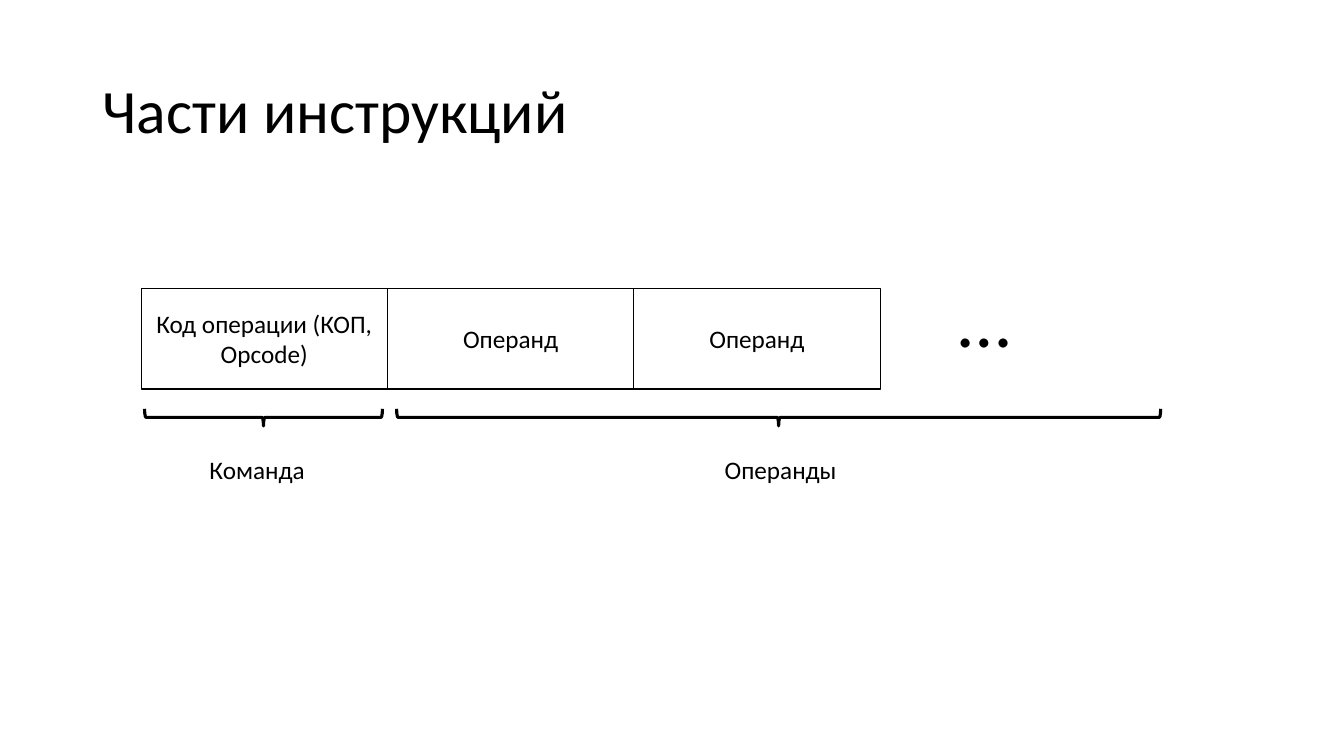
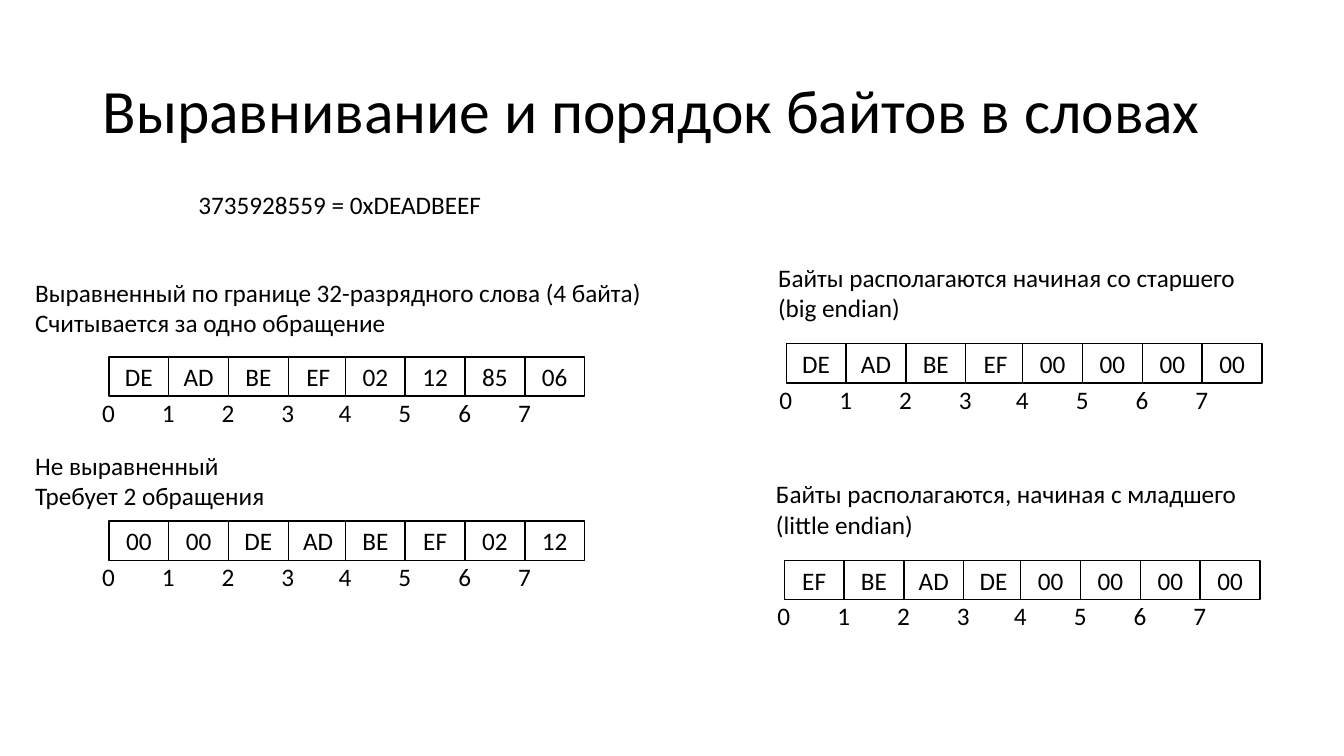
from pptx import Presentation
from pptx.dml.color import RGBColor as RGB
from pptx.enum.shapes import MSO_SHAPE as Shape
from pptx.enum.text import MSO_ANCHOR as Anchor, MSO_AUTO_SIZE as Auto, PP_ALIGN as Align
from pptx.util import Inches, Pt

WIDE, HIGH = Inches(13.333), Inches(7.5)
FONT, INK, PAPER = "Calibri", "000000", "FFFFFF"
LINE_H, PAIR_H = 5.33, 9.47      # height of one and two lines of text
BYTE_W, BYTE_H = 4.45, 5.2
WORD_W, WORD = 17.6, 4           # width of a word and its bytes
MARK_W, MARK_Y = 2.48, 4.67      # address marks under the bytes


def paint(code):
    return RGB.from_string(code)


def place(x, y, w, h):
    """Turn percentages of the slide into lengths."""
    return (round(WIDE * x / 100), round(HIGH * y / 100),
            round(WIDE * w / 100), round(HIGH * h / 100))


def write(frame, text, size=18, align=Align.LEFT):
    frame.text = text
    for para in frame.paragraphs:
        para.alignment = align
        for run in para.runs:
            run.font.name, run.font.size = FONT, Pt(size)
            run.font.color.rgb = paint(INK)


def label(shapes, text, x, y, w, h=LINE_H, size=18, wrap=False):
    frame = shapes.add_textbox(*place(x, y, w, h)).text_frame
    frame.word_wrap = wrap
    frame.auto_size = Auto.SHAPE_TO_FIT_TEXT
    write(frame, text, size)


def title(shapes, text):
    frame = shapes.add_textbox(*place(6.9, 5.33, 86.27, 19.33)).text_frame
    frame.word_wrap = True
    frame.vertical_anchor = Anchor.MIDDLE
    write(frame, text, 44)
    frame.paragraphs[0].line_spacing = 0.9


def outline(shape, width, fill=None):
    shape.shadow.inherit = False
    shape.line.color.rgb = paint(INK)
    shape.line.width = Pt(width)
    if fill:
        shape.fill.solid()
        shape.fill.fore_color.rgb = paint(fill)
    else:
        shape.fill.background()


def cell(shapes, text, x, y, w, h, width, fill=None):
    box = shapes.add_shape(Shape.RECTANGLE, *place(x, y, w, h))
    outline(box, width, fill)
    box.text_frame.word_wrap = True
    box.text_frame.vertical_anchor = Anchor.MIDDLE
    write(box.text_frame, text, align=Align.CENTER)


def brace(shapes, x, y, w, h):
    """Draw a brace that lies flat and points down."""
    left, top, span, depth = place(x, y, w, h)
    shift = (span - depth) // 2
    mark = shapes.add_shape(Shape.LEFT_BRACE, left + shift, top - shift, depth, span)
    mark.rotation = 270
    outline(mark, 2.25)


def memory(shapes, data, x, y):
    """Draw a row of bytes in words, with an address under each byte."""
    group = shapes.add_group_shape().shapes
    lefts = [x + i // WORD * WORD_W + i % WORD * BYTE_W for i in range(len(data))]
    for left, byte in zip(lefts, data):
        cell(group, byte, left, y, BYTE_W, BYTE_H, 1, PAPER)
    for i, left in enumerate(lefts):
        label(group, str(i), left - MARK_W / 2, y + MARK_Y, MARK_W)


def parts(shapes):
    title(shapes, "Части инструкций")
    # Instruction fields
    step = 18.33
    for i, name in enumerate(("Код операции (КОП, Opcode)", "Операнд", "Операнд")):
        cell(shapes, name, 10.5 + i * step, 38.13, step, 13.33, 0.75)
    label(shapes, "…", 70.58, 35.33, 5.4, 13.47, size=54)
    # Braces and their names
    for x, w in ((10.76, 17.7), (29.51, 56.85)):
        brace(shapes, x, 54.07, w, 2.27)
    for name, x, w in (("Команда", 14.85, 8.7), ("Операнды", 53.18, 9.9)):
        label(shapes, name, x, 59.47, w)


def order(shapes):
    title(shapes, "Выравнивание и порядок байтов в словах")
    label(shapes, "3735928559 = 0xDEADBEEF", 14.03, 24.4, 22.8)
    # Memory rows
    for data, x, y in (("DE AD BE EF 02 12 85 06", 8.1, 47.2),
                       ("00 00 DE AD BE EF 02 12", 8.1, 68.93),
                       ("DE AD BE EF 00 00 00 00", 58.5, 45.47),
                       ("EF BE AD DE 00 00 00 00", 58.35, 74.13)):
        memory(shapes, data.split(), x, y)
    # Captions above the rows
    for text, x, y, w, wrap in (
            ("Выравненный по границе 32-разрядного слова (4 байта)\n"
             "Считывается за одно обращение", 1.88, 36, 47.1, False),
            ("Не выравненный\nТребует 2 обращения", 1.88, 58.93, 18.75, False),
            ("Байты располагаются начиная со старшего\n(big endian)",
             57.15, 34, 36.6, True),
            ("Байты располагаются, начиная с младшего\n(little endian)",
             57, 62.67, 41.63, True)):
        label(shapes, text, x, y, w, PAIR_H, wrap=wrap)


def main():
    deck = Presentation()
    deck.slide_width, deck.slide_height = WIDE, HIGH
    for draw in (parts, order):
        draw(deck.slides.add_slide(deck.slide_layouts[6]).shapes)
    deck.save("out.pptx")


if __name__ == "__main__":
    main()
